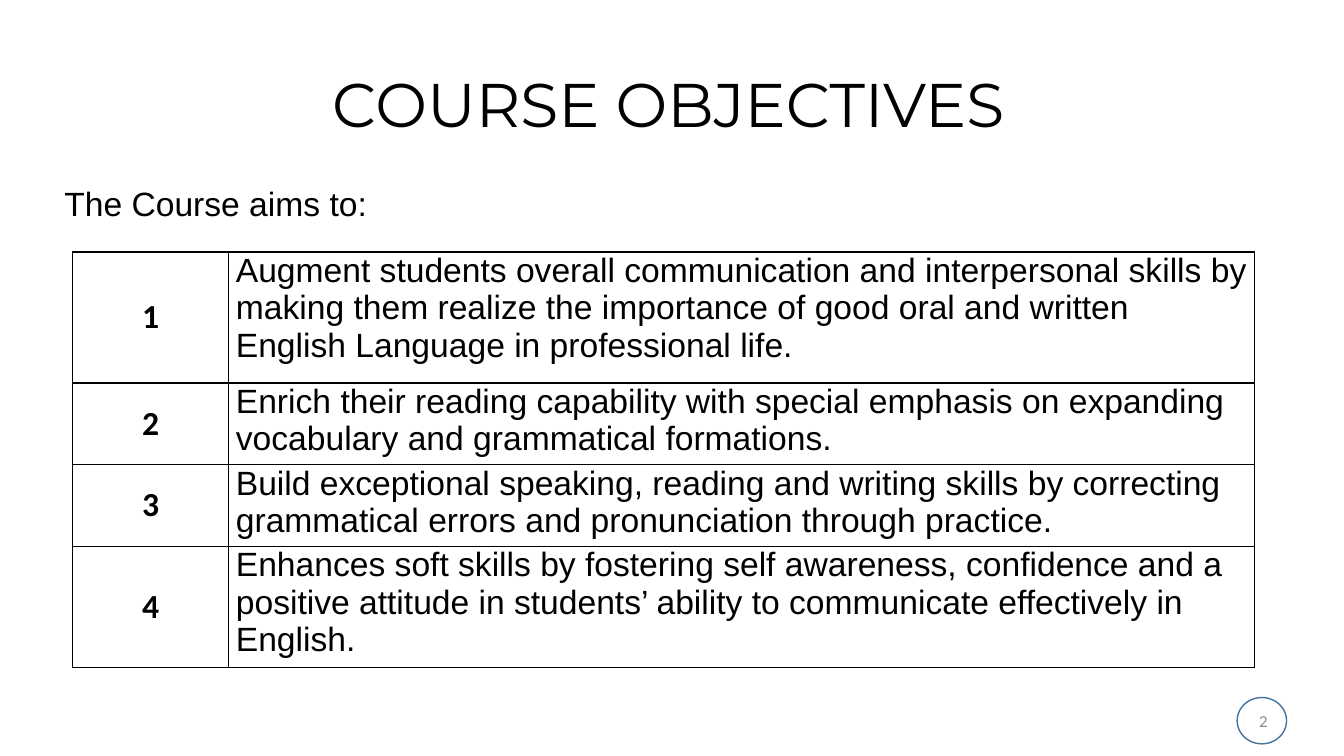
"""Build the course objectives slide."""
from lxml.etree import SubElement
from pptx import Presentation
from pptx.dml.color import RGBColor
from pptx.enum.shapes import MSO_SHAPE
from pptx.enum.text import MSO_ANCHOR, PP_ALIGN
from pptx.oxml.ns import qn
from pptx.util import Inches, Pt

BLACK = RGBColor(0x00, 0x00, 0x00)
GREY = RGBColor(0x8C, 0x8C, 0x8C)
BLUE = RGBColor(0x43, 0x73, 0x9E)

OBJECTIVES = [
    (1.3, "Augment students overall communication and interpersonal skills by making them "
          "realize the importance of good oral and written English Language in professional life."),
    (0.81, "Enrich their reading capability with special emphasis on expanding vocabulary "
           "and grammatical formations."),
    (0.81, "Build exceptional speaking, reading and writing skills by correcting grammatical "
           "errors and pronunciation through practice."),
    (1.2, "Enhances soft skills by fostering self awareness, confidence and a positive attitude "
          "in students’ ability to communicate effectively in English."),
]


def write(frame, text, font_name, size, color=BLACK, bold=False, align=PP_ALIGN.LEFT):
    paragraph = frame.paragraphs[0]
    paragraph.alignment = align
    run = paragraph.add_run()
    run.text = text
    run.font.name = font_name
    run.font.size = Pt(size)
    run.font.bold = bold
    run.font.color.rgb = color
    return paragraph


def add_borders(cell):
    properties = cell._tc.get_or_add_tcPr()
    for position, side in enumerate(("a:lnL", "a:lnR", "a:lnT", "a:lnB")):
        line = properties.makeelement(qn(side), {"w": str(Pt(1))})
        fill = SubElement(line, qn("a:solidFill"))
        SubElement(fill, qn("a:srgbClr"), val=str(BLACK))
        properties.insert(position, line)


presentation = Presentation()
presentation.slide_width = Inches(13.33)
presentation.slide_height = Inches(7.5)
slide = presentation.slides.add_slide(presentation.slide_layouts[5])

title = slide.shapes.title
title.left, title.top = Inches(2.36), Inches(0.69)
title.width, title.height = Inches(8.54), Inches(1.01)
title.text_frame.vertical_anchor = MSO_ANCHOR.TOP
heading = write(title.text_frame, "COURSE OBJECTIVES", "Montserrat", 44, align=PP_ALIGN.CENTER)
heading.line_spacing = 0.9

number_box = slide.shapes.add_textbox(Inches(9.67), Inches(6.95), Inches(3), Inches(0.4))
number_box.text_frame.word_wrap = True
number_box.text_frame.vertical_anchor = MSO_ANCHOR.MIDDLE
write(number_box.text_frame, "2", "Calibri", 12, GREY, align=PP_ALIGN.RIGHT)

ring = slide.shapes.add_shape(MSO_SHAPE.OVAL, Inches(12.27), Inches(6.92), Inches(0.49), Inches(0.46))
ring.shadow.inherit = False
ring.fill.background()
ring.line.color.rgb = BLUE
ring.line.width = Pt(1)

table = slide.shapes.add_table(
    len(OBJECTIVES), 2, Inches(0.72), Inches(2.5), Inches(11.71), Inches(4.12)).table
table.first_row = False
table.horz_banding = False
table.columns[0].width = Inches(1.55)
table.columns[1].width = Inches(10.17)

for index, (height, objective) in enumerate(OBJECTIVES):
    table.rows[index].height = Inches(height)
    number_cell, objective_cell = table.rows[index].cells
    for cell in (number_cell, objective_cell):
        cell.margin_left = cell.margin_right = Inches(0.07)
        cell.margin_top = cell.margin_bottom = Inches(0)
        cell.fill.background()
        add_borders(cell)
    number_cell.vertical_anchor = MSO_ANCHOR.MIDDLE
    write(number_cell.text_frame, str(index + 1), "Calibri", 24, bold=True, align=PP_ALIGN.CENTER)
    write(objective_cell.text_frame, objective, "Arial", 24)

intro = slide.shapes.add_textbox(Inches(0.54), Inches(1.77), Inches(3.23), Inches(0.5))
intro.text_frame.word_wrap = False
write(intro.text_frame, "The Course aims to:", "Arial", 24)

presentation.save("out.pptx")
